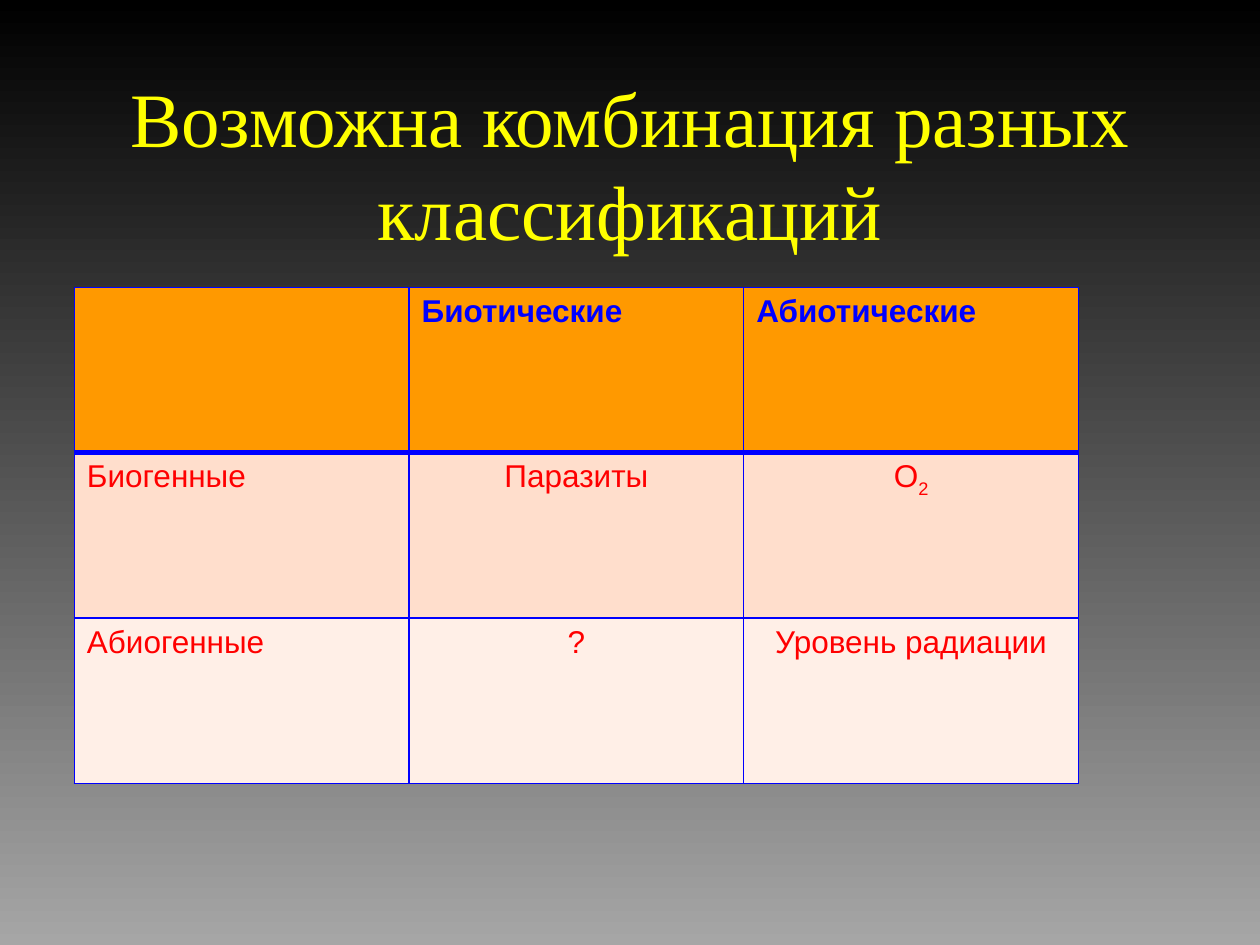
from dataclasses import dataclass

from lxml import etree
from pptx import Presentation
from pptx.dml.color import RGBColor
from pptx.enum.text import MSO_ANCHOR, MSO_AUTO_SIZE, PP_ALIGN
from pptx.oxml.ns import qn
from pptx.util import Inches, Pt

LEFT, CENTER = PP_ALIGN.LEFT, PP_ALIGN.CENTER
MIDDLE = MSO_ANCHOR.MIDDLE
NO_AUTOFIT = MSO_AUTO_SIZE.NONE

COLORS = {
    "sky_top": "000000",
    "sky_bottom": "A6A6A6",
    "title": "FFFF00",
    "blue": "0000FF",
    "red": "FF0000",
    "header": "FF9900",
    "biogenic": "FFDECC",
    "abiogenic": "FFEFE7",
}


@dataclass
class FactorRow:
    labels: tuple[str, str, str]
    fill: str
    color: str = "red"
    value_align: PP_ALIGN = CENTER
    bold: bool = False
    bottom_width: float = 1


FACTOR_ROWS = [
    FactorRow(("", "Биотические", "Абиотические"), "header", "blue", LEFT, True, 3),
    FactorRow(("Биогенные", "Паразиты", "O_2"), "biogenic"),
    FactorRow(("Абиогенные", "?", "Уровень радиации"), "abiogenic"),
]


def rgb(name: str) -> RGBColor:
    return RGBColor.from_string(COLORS[name])


def write_text(frame, text: str, *, font: str, size: float, color: str,
               align: PP_ALIGN = LEFT, bold: bool = False) -> None:
    paragraph = frame.paragraphs[0]
    paragraph.alignment = align
    base, _, subscript = text.partition("_")
    for part, baseline in ((base, None), (subscript, "-25000")):
        if not part:
            continue
        run = paragraph.add_run()
        run.text = part
        run.font.name = font
        run.font.size = Pt(size)
        run.font.bold = bold
        run.font.color.rgb = rgb(color)
        if baseline:
            run.font._element.set("baseline", baseline)


def set_borders(cell, color: str, widths: dict[str, float]) -> None:
    properties = cell._tc.get_or_add_tcPr()
    for position, (side, width) in enumerate(widths.items()):
        line = etree.Element(qn(f"a:{side}"), w=str(Pt(width)))
        fill = etree.SubElement(line, qn("a:solidFill"))
        etree.SubElement(fill, qn("a:srgbClr"), val=COLORS[color])
        properties.insert(position, line)


def draw_background(slide) -> None:
    fill = slide.background.fill
    fill.gradient()
    fill.gradient_angle = 270
    for stop, position, color in zip(fill.gradient_stops, (0, 1), ("sky_top", "sky_bottom")):
        stop.position = position
        stop.color.rgb = rgb(color)


def draw_title(slide, text: str) -> None:
    title = slide.shapes.title
    title.left, title.top = Inches(0.75), Inches(0.67)
    title.width, title.height = Inches(8.5), Inches(1.25)
    title.text_frame.auto_size = NO_AUTOFIT
    title.text_frame.word_wrap = True
    title.text_frame.vertical_anchor = MIDDLE
    write_text(title.text_frame, text, font="Times New Roman", size=44,
               color="title", align=CENTER)


def draw_factors(slide, rows: list[FactorRow]) -> None:
    table = slide.shapes.add_table(len(rows), len(rows[0].labels), Inches(0.59),
                                   Inches(2.28), Inches(7.97), Inches(3.94)).table
    top_width = 1
    for row_index, row in enumerate(rows):
        for column, label in enumerate(row.labels):
            cell = table.cell(row_index, column)
            cell.fill.solid()
            cell.fill.fore_color.rgb = rgb(row.fill)
            set_borders(cell, "blue", {"lnL": 1, "lnR": 1, "lnT": top_width,
                                       "lnB": row.bottom_width})
            write_text(cell.text_frame, label, font="Arial", size=18, color=row.color,
                       align=row.value_align if column else LEFT, bold=row.bold)
        top_width = row.bottom_width


def main() -> None:
    presentation = Presentation()
    presentation.slide_width, presentation.slide_height = Inches(10), Inches(7.5)
    slide = presentation.slides.add_slide(presentation.slide_layouts[5])
    draw_background(slide)
    draw_title(slide, "Возможна комбинация разных классификаций")
    draw_factors(slide, FACTOR_ROWS)
    presentation.save("out.pptx")


if __name__ == "__main__":
    main()
